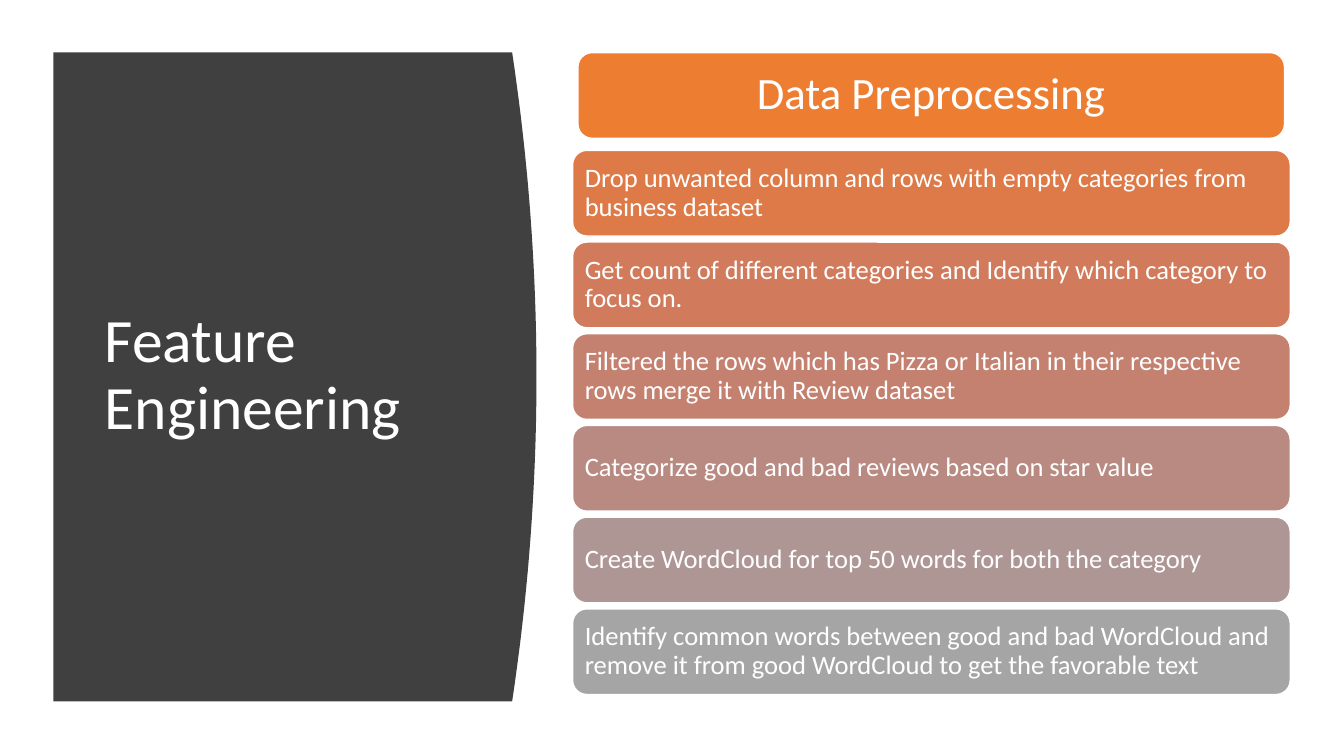
from dataclasses import dataclass

from pptx import Presentation
from pptx.dml.color import RGBColor
from pptx.enum.shapes import MSO_SHAPE
from pptx.enum.text import MSO_ANCHOR, PP_ALIGN
from pptx.shapes.autoshape import Shape
from pptx.slide import Slide
from pptx.util import Pt

ROUNDED = MSO_SHAPE.ROUNDED_RECTANGLE
MIDDLE = MSO_ANCHOR.MIDDLE
LEFT, CENTER = PP_ALIGN.LEFT, PP_ALIGN.CENTER


@dataclass(frozen=True)
class Theme:
    font: str = "Calibri"
    white: str = "FFFFFF"
    panel: str = "404040"
    header: str = "ED7D31"
    steps: tuple[str, ...] = (
        "DE7A47", "D17B5C", "C48170", "B98A82", "AE9694", "A5A5A5",
    )
    title_size: float = 44
    header_size: float = 32
    step_size: float = 19


@dataclass(frozen=True)
class Card:
    text: str
    left: float
    top: float
    width: float
    fill: str
    size: float
    inset: float
    align: PP_ALIGN = LEFT


THEME = Theme()
CARD_HEIGHT = 61.2
STEP_TOP = 107.4
STEP_PITCH = 65.5
STEPS = (
    "Drop unwanted column and rows with empty categories from business dataset",
    "Get count of different categories and Identify which category to focus on.",
    "Filtered the rows which has Pizza or Italian in their respective rows merge it with Review dataset",
    "Categorize good and bad reviews based on star value",
    "Create WordCloud for top 50 words for both the category",
    "Identify common words between good and bad WordCloud and remove it from good WordCloud to get the favorable text",
)


def set_text(sp: Shape, text: str, *, size: float, inset_x: float = 7.2,
             inset_y: float = 3.6, align: PP_ALIGN = LEFT) -> None:
    tf = sp.text_frame
    tf.word_wrap = True
    tf.vertical_anchor = MIDDLE
    tf.margin_left = tf.margin_right = Pt(inset_x)
    tf.margin_top = tf.margin_bottom = Pt(inset_y)
    p = tf.paragraphs[0]
    p.alignment = align
    p.line_spacing = 0.9
    r = p.add_run()
    r.text = text
    r.font.name = THEME.font
    r.font.size = Pt(size)
    r.font.color.rgb = RGBColor.from_string(THEME.white)


def set_fill(sp: Shape, color: str) -> None:
    sp.shadow.inherit = False
    sp.fill.solid()
    sp.fill.fore_color.rgb = RGBColor.from_string(color)


def add_panel(s: Slide) -> None:
    left, right, top, bottom = 38.2, 365.8, 37.4, 501.1
    bulge, segments = 17.4, 40
    points = []
    for i in range(segments + 1):
        t = i / segments
        x = right + bulge * 4 * t * (1 - t)
        points.append((Pt(x), Pt(top + (bottom - top) * t)))
    builder = s.shapes.build_freeform(Pt(left), Pt(top))
    builder.add_line_segments(points + [(Pt(left), Pt(bottom))], close=True)
    sp = builder.convert_to_shape()
    set_fill(sp, THEME.panel)
    sp.line.fill.background()


def add_card(s: Slide, card: Card) -> None:
    sp = s.shapes.add_shape(ROUNDED, Pt(card.left), Pt(card.top),
                            Pt(card.width), Pt(CARD_HEIGHT))
    set_fill(sp, card.fill)
    sp.line.color.rgb = RGBColor.from_string(THEME.white)
    sp.line.width = Pt(1)
    set_text(sp, card.text, size=card.size, inset_x=card.inset,
             inset_y=card.inset, align=card.align)


def main() -> None:
    prs = Presentation()
    prs.slide_width, prs.slide_height = Pt(960), Pt(540)
    s = prs.slides.add_slide(prs.slide_layouts[6])
    add_panel(s)
    title = s.shapes.add_textbox(Pt(67.7), Pt(79.9), Pt(269.3), Pt(377.3))
    set_text(title, "Feature Engineering", size=THEME.title_size)
    cards = [Card("Data Preprocessing", 412.8, 37.6, 504.7, THEME.header,
                  THEME.header_size, 9.6, CENTER)]
    cards += [
        Card(text, 409, STEP_TOP + i * STEP_PITCH, 512.6, fill,
             THEME.step_size, 5.7)
        for i, (text, fill) in enumerate(zip(STEPS, THEME.steps))
    ]
    for card in cards:
        add_card(s, card)
    prs.save("out.pptx")


if __name__ == "__main__":
    main()
